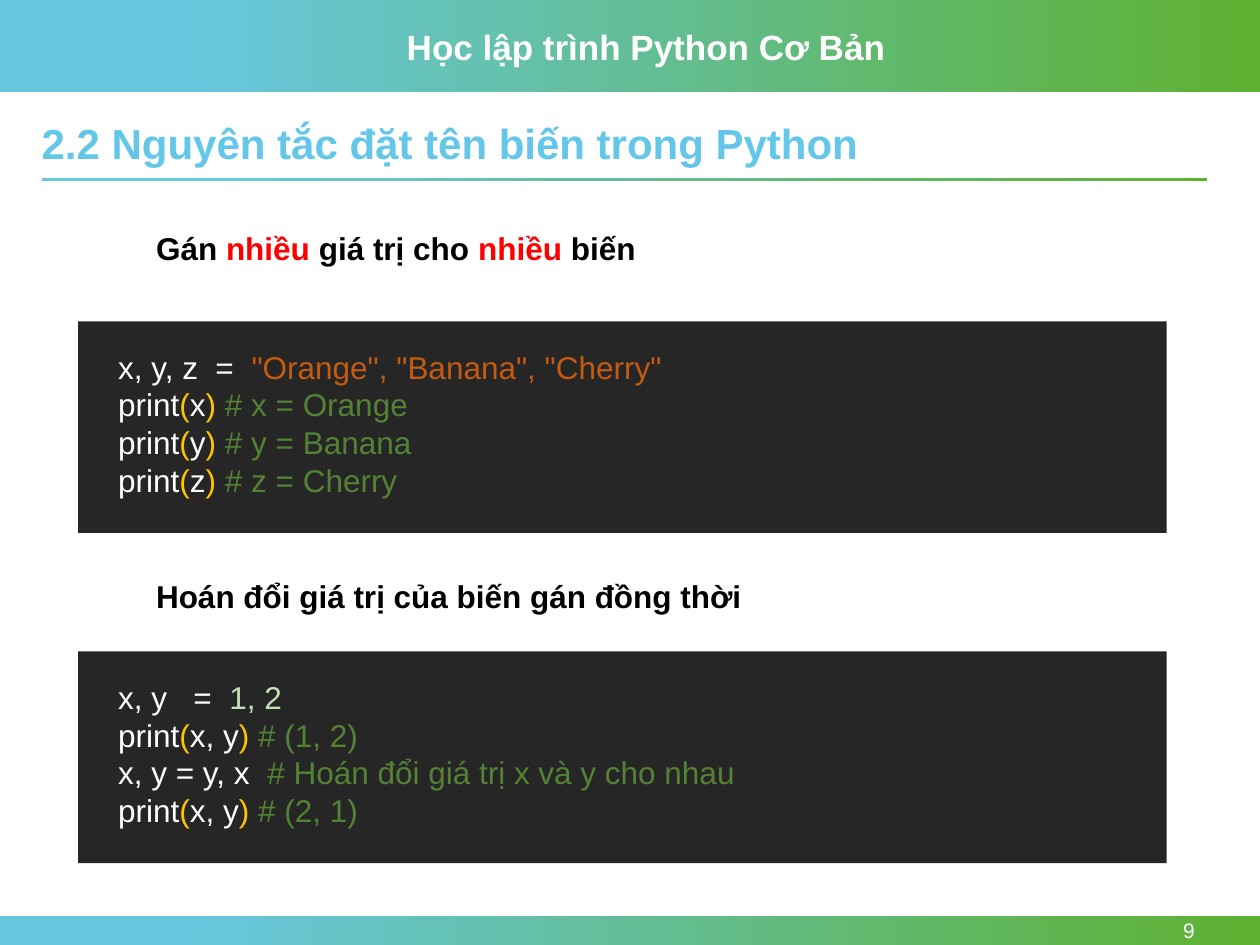
from dataclasses import dataclass

from pptx import Presentation
from pptx.dml.color import RGBColor as Rgb
from pptx.enum.shapes import MSO_SHAPE as Shape
from pptx.enum.text import MSO_ANCHOR as Anchor, MSO_AUTO_SIZE as Fit, PP_ALIGN as Align
from pptx.util import Inches, Pt


@dataclass(frozen=True)
class Theme:
    face: str = "Arial"
    white: str = "FFFFFF"
    black: str = "000000"
    red: str = "FF0000"
    sky: str = "64C7E9"
    start: str = "67C7DF"
    end: str = "5EB130"
    panel: str = "262626"
    string: str = "C55A11"
    number: str = "C5E0B4"
    paren: str = "FFC500"
    note: str = "548235"
    title: int = 24
    header: int = 20
    body: int = 18
    small: int = 12


class Deck:
    def __init__(self, theme):
        self.theme = theme
        self.file = Presentation()
        self.file.slide_width = Inches(10)
        self.file.slide_height = Inches(7.5)
        self.slide = self.file.slides.add_slide(self.file.slide_layouts[5])

    def style(self, par, size, bold=False, color=None):
        font = par.font
        font.name = self.theme.face
        font.size = Pt(size)
        font.bold = bold
        if color:
            font.color.rgb = Rgb.from_string(color)

    def block(self, *box):
        shape = self.slide.shapes.add_shape(Shape.RECTANGLE, *map(Inches, box))
        shape.shadow.inherit = False
        shape.line.fill.background()
        return shape

    def band(self, *box):
        fill = self.block(*box).fill
        fill.gradient()
        fill.gradient_angle = 0
        stops = ((0.15, self.theme.start), (1, self.theme.end))
        for stop, (place, color) in zip(fill.gradient_stops, stops):
            stop.position = place
            stop.color.rgb = Rgb.from_string(color)

    def panel(self, *box):
        fill = self.block(*box).fill
        fill.solid()
        fill.fore_color.rgb = Rgb.from_string(self.theme.panel)

    def title(self, text, *box):
        shape = self.slide.shapes.title
        shape.left, shape.top, shape.width, shape.height = map(Inches, box)
        frame = shape.text_frame
        frame.text = text
        frame.auto_size = Fit.NONE
        frame.vertical_anchor = Anchor.MIDDLE
        par = frame.paragraphs[0]
        par.alignment = Align.LEFT
        par.line_spacing = 0.9
        self.style(par, self.theme.title, True, self.theme.sky)

    def frame(self, *box):
        frame = self.slide.shapes.add_textbox(*map(Inches, box)).text_frame
        frame.word_wrap = True
        return frame

    def label(self, text, size, bold, color, *box):
        frame = self.frame(*box)
        frame.text = text
        self.style(frame.paragraphs[0], size, bold, color)
        return frame

    def runs(self, par, parts):
        for text, color in parts:
            run = par.add_run()
            run.text = text
            run.font.color.rgb = Rgb.from_string(color)

    def rich(self, parts, *box):
        par = self.frame(*box).paragraphs[0]
        self.style(par, self.theme.body, True)
        self.runs(par, parts)

    def code(self, lines, top, joined=False):
        self.panel(0.62, top, 8.64, 1.68)
        frame = self.frame(0.84, top + 0.16, 8.03, 1.31)
        par = frame.paragraphs[0]
        for index, parts in enumerate(lines):
            if index and joined:
                par.add_line_break()
            elif index:
                par = frame.add_paragraph()
            self.style(par, self.theme.body)
            self.runs(par, parts)

    def echo(self, names, note):
        look = self.theme
        return [("print", look.white), ("(", look.paren), (names, look.white),
                (") ", look.paren), (note, look.note)]


def main():
    look = Theme()
    deck = Deck(look)

    deck.band(0, 0, 10, 0.73)
    deck.band(0, 7.27, 10, 0.23)
    deck.label("Học lập trình Python Cơ Bản", look.header, True, look.white,
               3.13, 0.15, 4, 0.44)
    deck.band(0.33, 1.41, 9.25, 0.03)
    page = deck.label("9", look.small, False, look.white, 8.66, 7.27, 0.92, 0.23)
    page.vertical_anchor = Anchor.MIDDLE
    page.paragraphs[0].alignment = Align.RIGHT
    deck.title("2.2 Nguyên tắc đặt tên biến trong Python", 0.23, 0.93, 9.25, 0.46)

    deck.rich([("Gán ", look.black), ("nhiều ", look.red), ("giá trị cho ", look.black),
               ("nhiều ", look.red), ("biến", look.black)], 1.14, 1.77, 4.51, 0.4)
    fruits = (("x", "Orange"), ("y", "Banana"), ("z", "Cherry"))
    first = [("x, y, z  =  ", look.white), ('"Orange", "Banana", "Cherry"', look.string)]
    prints = [deck.echo(name, f"# {name} = {fruit}") for name, fruit in fruits]
    deck.code([first, *prints], 2.55, joined=True)

    deck.label("Hoán đổi giá trị của biến gán đồng thời", look.body, True, look.black,
               1.14, 4.53, 5.88, 0.4)
    deck.code([
        [("x, y   =  ", look.white), ("1, 2", look.number)],
        deck.echo("x, y", "# (1, 2)"),
        [("x, y = y, x  ", look.white), ("# Hoán đổi giá trị x và y cho nhau", look.note)],
        deck.echo("x, y", "# (2, 1)"),
    ], 5.17)

    deck.file.save("out.pptx")


if __name__ == "__main__":
    main()
